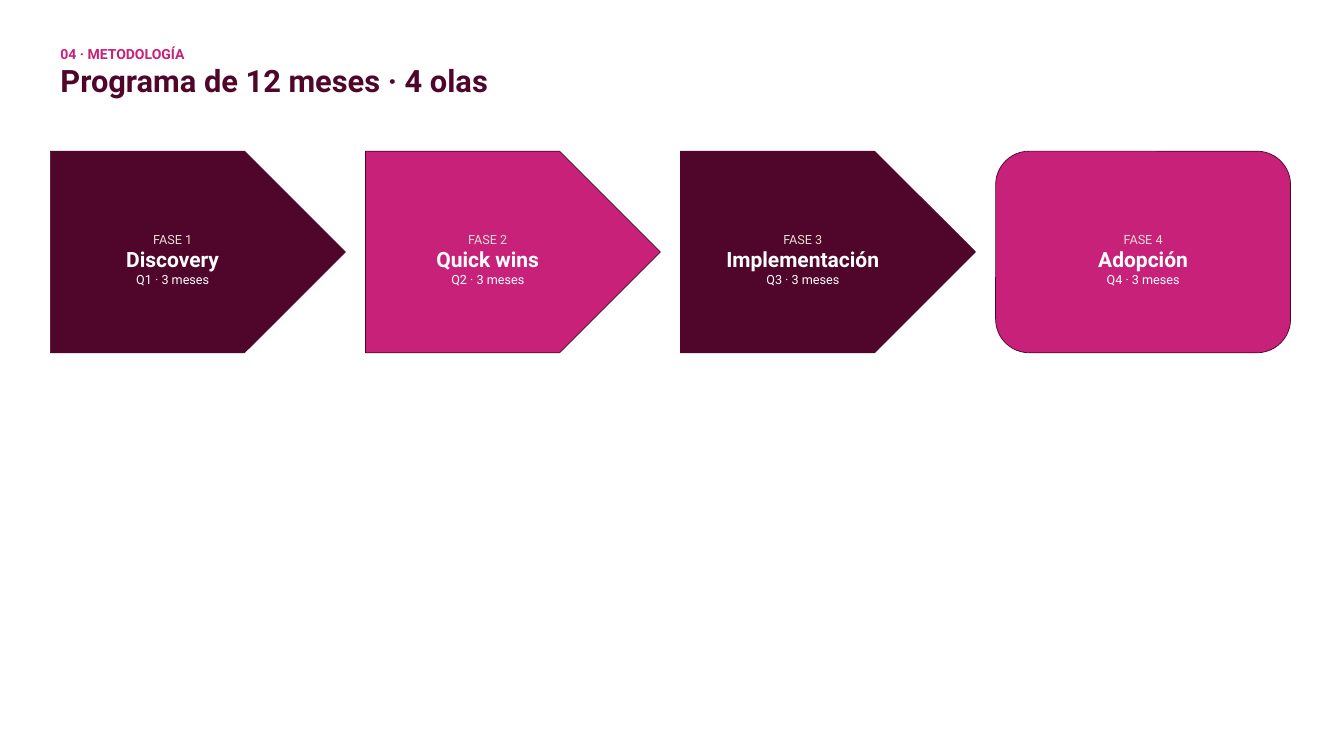
from dataclasses import dataclass

from pptx import Presentation
from pptx import util as u
from pptx.dml.color import RGBColor
from pptx.enum import shapes, text

PLUM, MAGENTA, SAND, WHITE = "4F062A", "C8217A", "E8DDD2", "FFFFFF"
FONT = "Roboto"

# Grid: four equal columns across the content width
LEFT, WIDTH, GAP, COLUMNS = 0.5, 12.3, 0.2, 4
COLUMN = (WIDTH - GAP * (COLUMNS - 1)) / COLUMNS
PHASE_TOP, PHASE_HEIGHT = 1.5, 2


@dataclass
class Line:
    content: str
    size: float
    color: str
    bold: bool = False


@dataclass
class Phase:
    name: str
    fill: str
    outline: shapes.MSO_SHAPE = shapes.MSO_SHAPE.PENTAGON


PHASES = [
    Phase("Discovery", PLUM),
    Phase("Quick wins", MAGENTA),
    Phase("Implementación", PLUM),
    Phase("Adopción", MAGENTA, shapes.MSO_SHAPE.ROUNDED_RECTANGLE),
]


def rgb(color: str) -> RGBColor:
    return RGBColor.from_string(color)


def apply(target, formats: dict) -> None:
    for name, value in formats.items():
        setattr(target, name, value)


def write(frame, lines: list[Line], align: text.PP_ALIGN) -> None:
    for index, line in enumerate(lines):
        para = frame.add_paragraph() if index else frame.paragraphs[0]
        para.alignment = align
        span = para.add_run()
        span.text = line.content
        apply(span.font, {"name": FONT, "size": u.Pt(line.size), "bold": line.bold})
        span.font.color.rgb = rgb(line.color)


def add_heading(page) -> None:
    box = page.shapes.title
    apply(box, {"left": u.Inches(LEFT), "top": u.Inches(0.4),
                "width": u.Inches(WIDTH), "height": u.Inches(0.5)})
    apply(box.text_frame, {"word_wrap": True,
                           "auto_size": text.MSO_AUTO_SIZE.SHAPE_TO_FIT_TEXT,
                           "vertical_anchor": text.MSO_ANCHOR.TOP})
    write(box.text_frame, [
        Line("04 · METODOLOGÍA", 10, MAGENTA, True),
        Line("Programa de 12 meses · 4 olas", 22, PLUM, True),
    ], text.PP_ALIGN.LEFT)


def add_phase(page, number: int, phase: Phase) -> None:
    left = LEFT + (number - 1) * (COLUMN + GAP)
    box = page.shapes.add_shape(phase.outline, u.Inches(left), u.Inches(PHASE_TOP),
                                u.Inches(COLUMN), u.Inches(PHASE_HEIGHT))
    box.shadow.inherit = False
    box.fill.solid()
    box.fill.fore_color.rgb = rgb(phase.fill)
    box.line.color.rgb = rgb(PLUM)
    box.line.width = u.Pt(0.5)
    inset = u.Inches(0.2)
    apply(box.text_frame, {"word_wrap": True, "margin_left": inset,
                           "margin_top": inset, "margin_right": inset,
                           "margin_bottom": u.Inches(0.05),
                           "vertical_anchor": text.MSO_ANCHOR.MIDDLE})
    write(box.text_frame, [
        Line(f"FASE {number}", 9, SAND),
        Line(phase.name, 15, WHITE, True),
        Line(f"Q{number} · 3 meses", 9, WHITE),
    ], text.PP_ALIGN.CENTER)


def main() -> None:
    deck = Presentation()
    apply(deck, {"slide_width": u.Inches(13.33), "slide_height": u.Inches(7.5)})
    page = deck.slides.add_slide(deck.slide_layouts.get_by_name("Title Only"))
    add_heading(page)
    # One shape per quarter
    for number, phase in enumerate(PHASES, start=1):
        add_phase(page, number, phase)
    deck.save("out.pptx")


if __name__ == "__main__":
    main()
